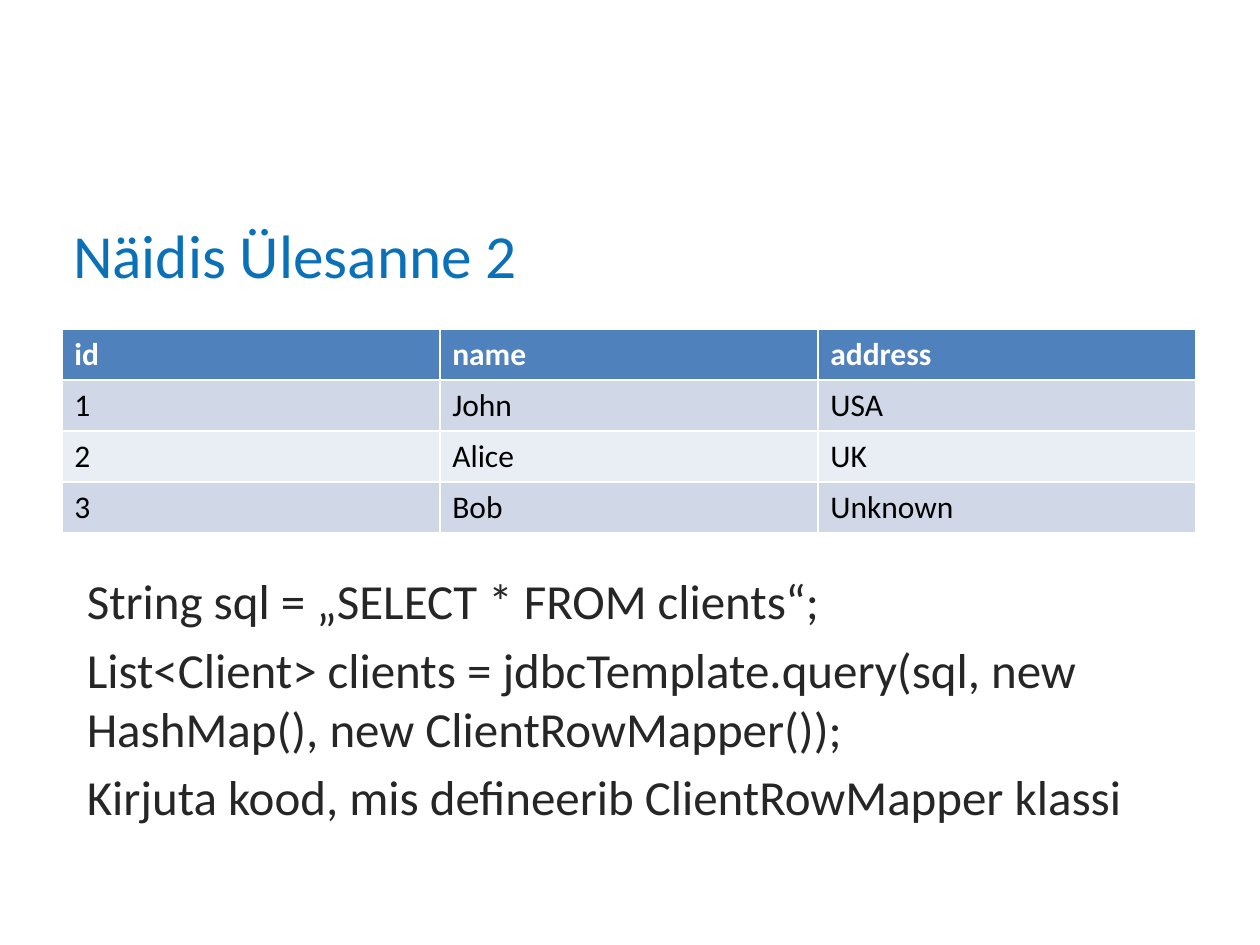
from pptx import Presentation, util as u
from pptx.dml.color import RGBColor
from pptx.enum import text

TITLE = "Näidis Ülesanne 2"
CLIENTS = [
    ("id", "name", "address"),
    ("1", "John", "USA"),
    ("2", "Alice", "UK"),
    ("3", "Bob", "Unknown"),
]
TASK = [
    "String sql = „SELECT * FROM clients“;",
    "List<Client> clients = jdbcTemplate.query(sql, new HashMap(), new ClientRowMapper());",
    "Kirjuta kood, mis defineerib ClientRowMapper klassi",
]

BLUE = RGBColor(0x0A, 0x71, 0xB9)
HEADER = RGBColor(0x4F, 0x81, 0xBD)
BANDS = [RGBColor(0xE9, 0xED, 0xF4), RGBColor(0xD0, 0xD8, 0xE8)]
WHITE = RGBColor(0xFF, 0xFF, 0xFF)
BLACK = RGBColor(0, 0, 0)
DARK = RGBColor(0x26, 0x26, 0x26)

TITLE_AREA = (0.48, 1.11, 9, 1.25)
TABLE_AREA = (0.49, 2.61, 9, 1.62)
TASK_AREA = (0.59, 4.48, 8.91, 2.49)


def inches(area):
    """Turn a tuple of inches into lengths."""
    return [u.Inches(value) for value in area]


def write(para, words, color, **formats):
    """Put one formatted run into a paragraph."""
    span = para.add_run()
    span.text = words
    for name, value in {"name": "Calibri", **formats}.items():
        setattr(span.font, name, value)
    span.font.color.rgb = color


def add_title(page):
    """Place and fill the title placeholder."""
    title = page.shapes.title
    title.left, title.top, title.width, title.height = inches(TITLE_AREA)
    frame = title.text_frame
    frame.vertical_anchor = text.MSO_ANCHOR.BOTTOM
    frame.auto_size = text.MSO_AUTO_SIZE.NONE
    frame.paragraphs[0].alignment = text.PP_ALIGN.LEFT
    write(frame.paragraphs[0], TITLE, BLUE, size=u.Pt(35))


def add_clients(page):
    """Add the client table with a header and banded rows."""
    table = page.shapes.add_table(len(CLIENTS), len(CLIENTS[0]), *inches(TABLE_AREA)).table
    for r, record in enumerate(CLIENTS):
        is_header = r == 0
        for c, words in enumerate(record):
            cell = table.cell(r, c)
            cell.fill.solid()
            cell.fill.fore_color.rgb = HEADER if is_header else BANDS[r % 2]
            write(cell.text_frame.paragraphs[0], words, WHITE if is_header else BLACK,
                  size=u.Pt(18), bold=is_header)


def add_task(page):
    """Add the code lines and the exercise below the table."""
    frame = page.shapes.add_textbox(*inches(TASK_AREA)).text_frame
    frame.word_wrap = True
    for i, words in enumerate(TASK):
        para = frame.add_paragraph() if i else frame.paragraphs[0]
        para.space_before = u.Pt(5.6)
        write(para, words, DARK, size=u.Pt(28))


deck = Presentation()
deck.slide_width, deck.slide_height = inches((10, 7.5))
page = deck.slides.add_slide(deck.slide_layouts.get_by_name("Title Only"))
add_title(page)
add_clients(page)
add_task(page)
deck.save("out.pptx")
